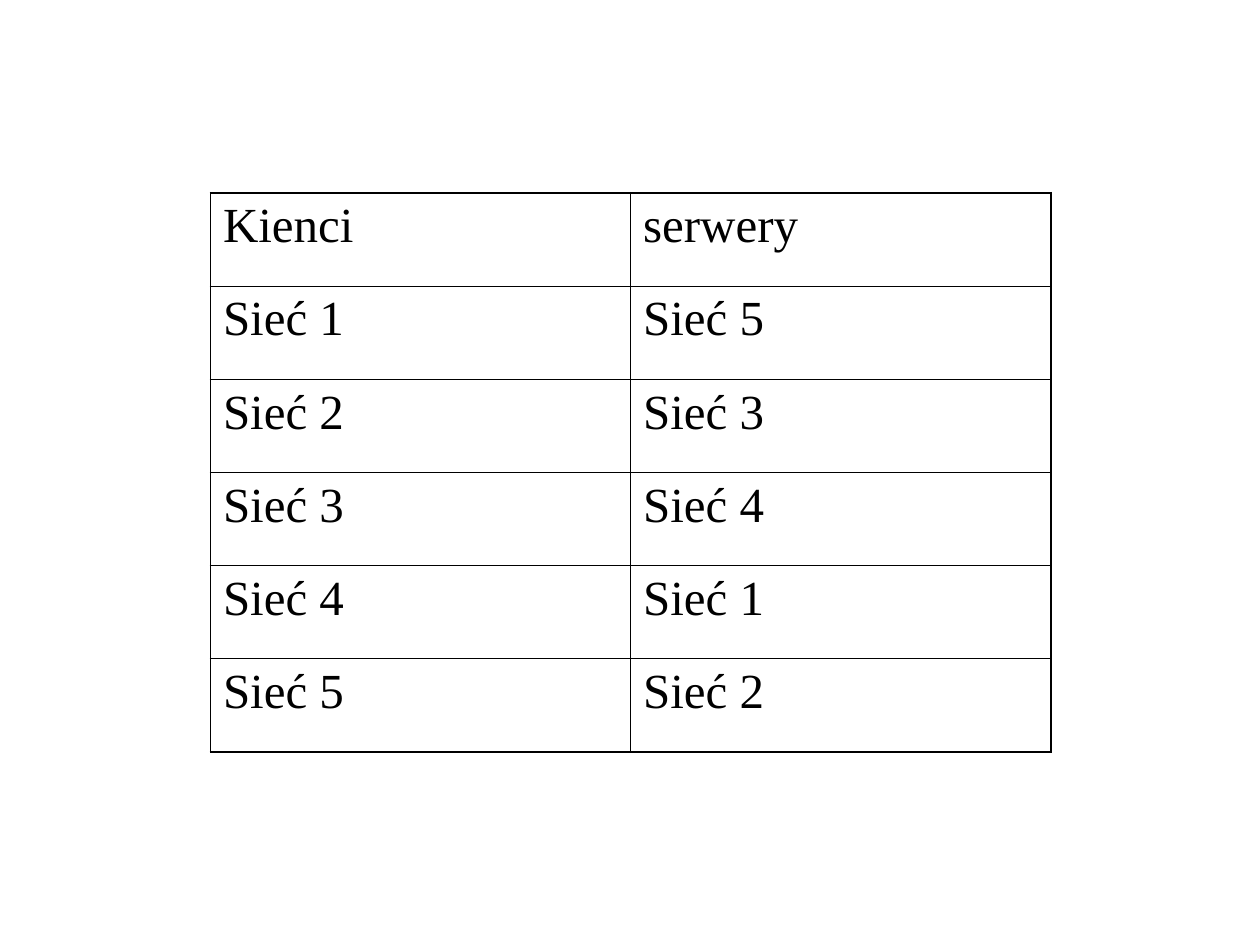
"""Build a slide with a table pairing client networks with server networks."""
from lxml import etree
from pptx import Presentation
from pptx.dml.color import RGBColor
from pptx.oxml.ns import qn
from pptx.util import Inches, Pt

COLORS = {"ink": "000000"}
FONT = "Times New Roman"
OUTER, INNER = Pt(1.08), Pt(0.45)
ROWS = [
    ("Kienci", "serwery"),
    ("Sieć 1", "Sieć 5"),
    ("Sieć 2", "Sieć 3"),
    ("Sieć 3", "Sieć 4"),
    ("Sieć 4", "Sieć 1"),
    ("Sieć 5", "Sieć 2"),
]


def add_border(cell, side, width):
    tcPr = cell._tc.get_or_add_tcPr()
    ln = etree.SubElement(tcPr, qn(f"a:ln{side}"), w=str(int(width)))
    fill = etree.SubElement(ln, qn("a:solidFill"))
    etree.SubElement(fill, qn("a:srgbClr"), val=COLORS["ink"])


prs = Presentation()
prs.slide_width, prs.slide_height = Inches(10), Inches(7.5)
s = prs.slides.add_slide(prs.slide_layouts[6])

n_rows, n_cols = len(ROWS), len(ROWS[0])
table = s.shapes.add_table(
    n_rows, n_cols, Inches(1.67), Inches(1.53), Inches(6.67), Inches(4.44)
).table
table.first_row = False
table.horz_banding = False

for i, row in enumerate(ROWS):
    for j, text in enumerate(row):
        cell = table.cell(i, j)
        edges = {"L": j == 0, "R": j == n_cols - 1, "T": i == 0, "B": i == n_rows - 1}
        for side, is_outer in edges.items():
            add_border(cell, side, OUTER if is_outer else INNER)
        cell.fill.background()
        p = cell.text_frame.paragraphs[0]
        p.text = text
        p.space_before = Pt(7)
        r = p.runs[0]
        r.font.name = FONT
        r.font.size = Pt(28)
        r.font.color.rgb = RGBColor.from_string(COLORS["ink"])

prs.save("out.pptx")
